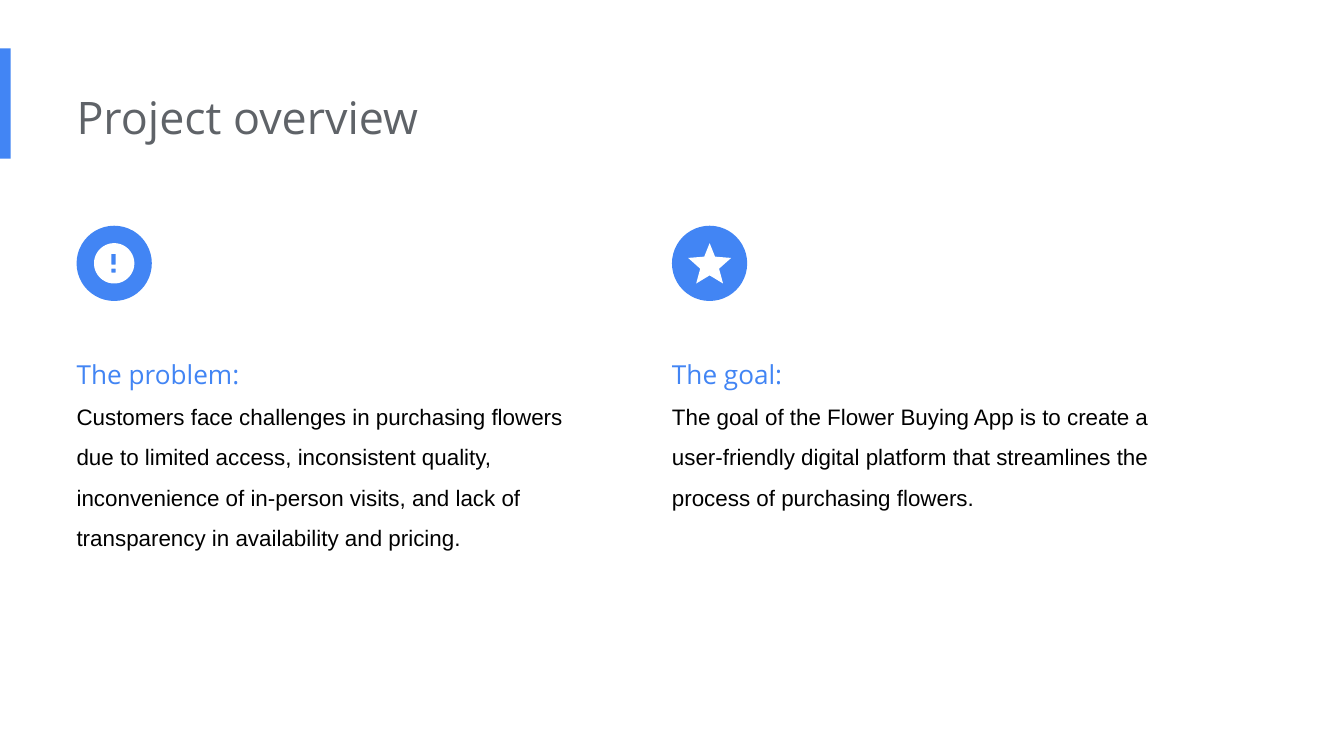
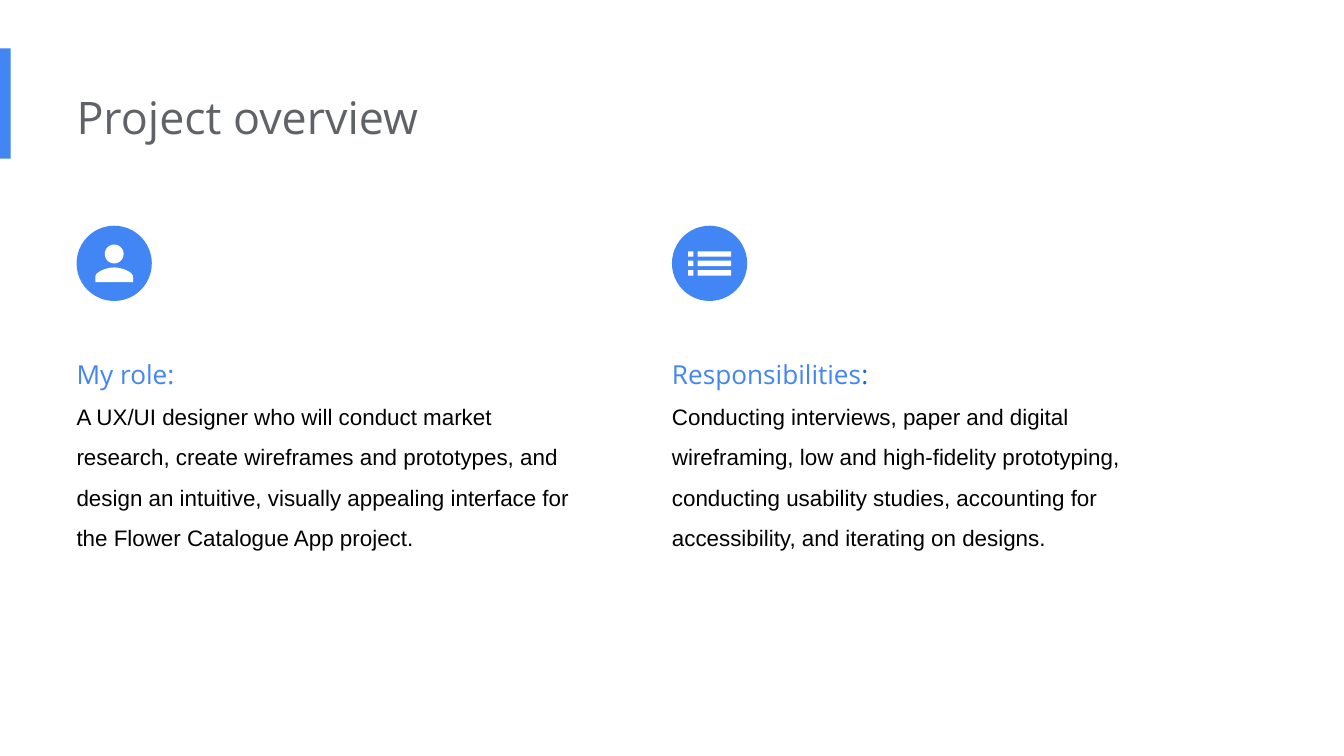
from dataclasses import dataclass
from math import cos, pi, sin
from typing import Any

from pptx import Presentation
from pptx import util as u
from pptx.dml.color import RGBColor
from pptx.enum import shapes, text

Point = tuple[float, float]
Outline = list[Point]

BLUE = RGBColor(0x42, 0x85, 0xF4)
DEEP_BLUE = RGBColor(0x19, 0x67, 0xD2)
GREY = RGBColor(0x5F, 0x63, 0x68)
BLACK = RGBColor(0, 0, 0)
WHITE = RGBColor(0xFF, 0xFF, 0xFF)

SLIDE_WIDTH = u.Inches(10)
SLIDE_HEIGHT = SLIDE_WIDTH * 9 // 16
COLUMN_LEFTS = (0.57, 5.0)
BADGE_TOP, BADGE_SIZE = 1.68, 0.56
COPY_TOP, COPY_WIDTH = 2.45, 3.77
CENTRE = BADGE_SIZE / 2


@dataclass(frozen=True)
class TextStyle:
    """Font settings of a kind of text."""

    font: str
    size: int
    colour: RGBColor


TITLE = TextStyle("Open Sans", 24, GREY)
HEADING = TextStyle("Open Sans", 14, BLUE)
BODY = TextStyle("Arial", 12, BLACK)


@dataclass(frozen=True)
class Column:
    """An icon badge above a heading and its text."""

    heading: str
    body: str
    icon: list[Outline]
    height: float
    colon: RGBColor = BLUE


def rectangle(left: float, top: float, width: float, height: float) -> Outline:
    """Return the corners of a rectangle."""
    right, bottom = left + width, top + height
    return [(left, top), (right, top), (right, bottom), (left, bottom)]


def circle(x: float, y: float, radius: float, steps: int = 72) -> Outline:
    """Return points round a circle."""
    angles = [2 * pi * step / steps for step in range(steps)]
    return [(x + radius * cos(a), y + radius * sin(a)) for a in angles]


def curve(a: Point, b: Point, c: Point, d: Point, steps: int = 24) -> Outline:
    """Return points along a cubic curve."""
    points = []
    for step in range(steps + 1):
        t = step / steps
        weights = ((1 - t) ** 3, 3 * t * (1 - t) ** 2, 3 * t * t * (1 - t), t**3)
        x, y = (sum(w * p[axis] for w, p in zip(weights, (a, b, c, d))) for axis in (0, 1))
        points.append((x, y))
    return points


def mirrored(half: Outline) -> Outline:
    """Close an outline with its reflection across the badge centre."""
    return half + [(2 * CENTRE - x, y) for x, y in reversed(half)]


ALERT = [
    circle(CENTRE, CENTRE, 0.15),
    rectangle(0.26, 0.21, 0.03, 0.08),
    rectangle(0.26, 0.32, 0.03, 0.03),
]
STAR = [
    mirrored([(0.28, 0.13), (0.24, 0.23), (0.12, 0.24), (0.21, 0.32), (0.18, 0.43), (0.28, 0.37)])
]
PERSON = [
    circle(CENTRE, 0.21, 0.07),
    mirrored(curve((0.28, 0.31), (0.23, 0.31), (0.14, 0.34), (0.14, 0.38)) + [(0.14, 0.42)]),
]
LIST = [
    rectangle(left, 0.19 + 0.07 * row, width, 0.04)
    for row in range(3)
    for left, width in ((0.12, 0.04), (0.19, 0.25))
]

SLIDES = [
    (
        Column(
            "The problem",
            "Customers face challenges in purchasing flowers due to limited access, "
            "inconsistent quality, inconvenience of in-person visits, and lack of "
            "transparency in availability and pricing.",
            ALERT,
            2.37,
        ),
        Column(
            "The goal",
            "The goal of the Flower Buying App is to create a user-friendly digital "
            "platform that streamlines the process of purchasing flowers.",
            STAR,
            1.46,
        ),
    ),
    (
        Column(
            "My role",
            "A UX/UI designer who will conduct market research, create wireframes and "
            "prototypes, and design an intuitive, visually appealing interface for the "
            "Flower Catalogue App project.",
            PERSON,
            2.07,
        ),
        Column(
            "Responsibilities",
            "Conducting interviews, paper and digital wireframing, low and high-fidelity "
            "prototyping, conducting usability studies, accounting for accessibility, "
            "and iterating on designs.",
            LIST,
            2.07,
            DEEP_BLUE,
        ),
    ),
]


def paint(shape: Any, colour: RGBColor) -> None:
    """Give a shape a plain fill without line or shadow."""
    shape.shadow.inherit = False
    shape.fill.solid()
    shape.fill.fore_color.rgb = colour
    shape.line.fill.background()


def add_block(page: Any, kind: Any, left: float, top: float, width: float, height: float) -> None:
    """Draw a blue preset shape."""
    lengths = map(u.Inches, (left, top, width, height))
    paint(page.shapes.add_shape(kind, *lengths), BLUE)


def add_frame(page: Any, left: float, top: float, width: float, height: float) -> Any:
    """Add a wrapping text box and return its text frame."""
    box = page.shapes.add_textbox(*map(u.Inches, (left, top, width, height)))
    settings = {
        "word_wrap": True,
        "auto_size": text.MSO_AUTO_SIZE.NONE,
        "vertical_anchor": text.MSO_ANCHOR.TOP,
        "margin_left": 0,
        "margin_top": u.Inches(0.1),
        "margin_right": u.Inches(0.1),
        "margin_bottom": u.Inches(0.1),
    }
    for name, value in settings.items():
        setattr(box.text_frame, name, value)
    return box.text_frame


def add_span(para: Any, words: str, style: TextStyle, colour: RGBColor | None = None) -> None:
    """Append styled words to a paragraph."""
    span = para.add_run()
    span.text = words
    for name, value in {"name": style.font, "size": u.Pt(style.size)}.items():
        setattr(span.font, name, value)
    span.font.color.rgb = colour or style.colour


def add_icon(page: Any, left: float, top: float, outlines: list[Outline]) -> None:
    """Draw white outlines as one freeform."""
    builder = None
    for outline in outlines:
        points = [(u.Inches(left + x), u.Inches(top + y)) for x, y in outline]
        if builder is None:
            builder = page.shapes.build_freeform(*points[0])
        else:
            builder.move_to(*points[0])
        builder.add_line_segments(points[1:], close=True)
    paint(builder.convert_to_shape(), WHITE)


def add_column(page: Any, left: float, column: Column) -> None:
    """Draw a badge with its heading and text."""
    frame = add_frame(page, left, COPY_TOP, COPY_WIDTH, column.height)
    heading, body = frame.paragraphs[0], frame.add_paragraph()
    for para in (heading, body):
        para.line_spacing = 1.5
    if column.colon == BLUE:
        add_span(heading, f"{column.heading}:", HEADING)
    else:
        add_span(heading, column.heading, HEADING)
        add_span(heading, ":", HEADING, column.colon)
    add_span(body, column.body, BODY)
    add_block(page, shapes.MSO_SHAPE.OVAL, left, BADGE_TOP, BADGE_SIZE, BADGE_SIZE)
    add_icon(page, left, BADGE_TOP, column.icon)


def add_page(deck: Any, columns: tuple[Column, ...]) -> None:
    """Add a slide with accent bar, title and columns."""
    page = deck.slides.add_slide(deck.slide_layouts[6])
    page.background.fill.solid()
    page.background.fill.fore_color.rgb = WHITE
    add_block(page, shapes.MSO_SHAPE.RECTANGLE, 0, 0.36, 0.08, 0.82)
    title = add_frame(page, COLUMN_LEFTS[0], 0.57, 6.73, 0.61)
    add_span(title.paragraphs[0], "Project overview", TITLE)
    for left, column in zip(COLUMN_LEFTS, columns):
        add_column(page, left, column)


def main() -> None:
    """Build and save the deck."""
    deck = Presentation()
    deck.slide_width, deck.slide_height = SLIDE_WIDTH, SLIDE_HEIGHT
    for columns in SLIDES:
        add_page(deck, columns)
    deck.save("out.pptx")


if __name__ == "__main__":
    main()
